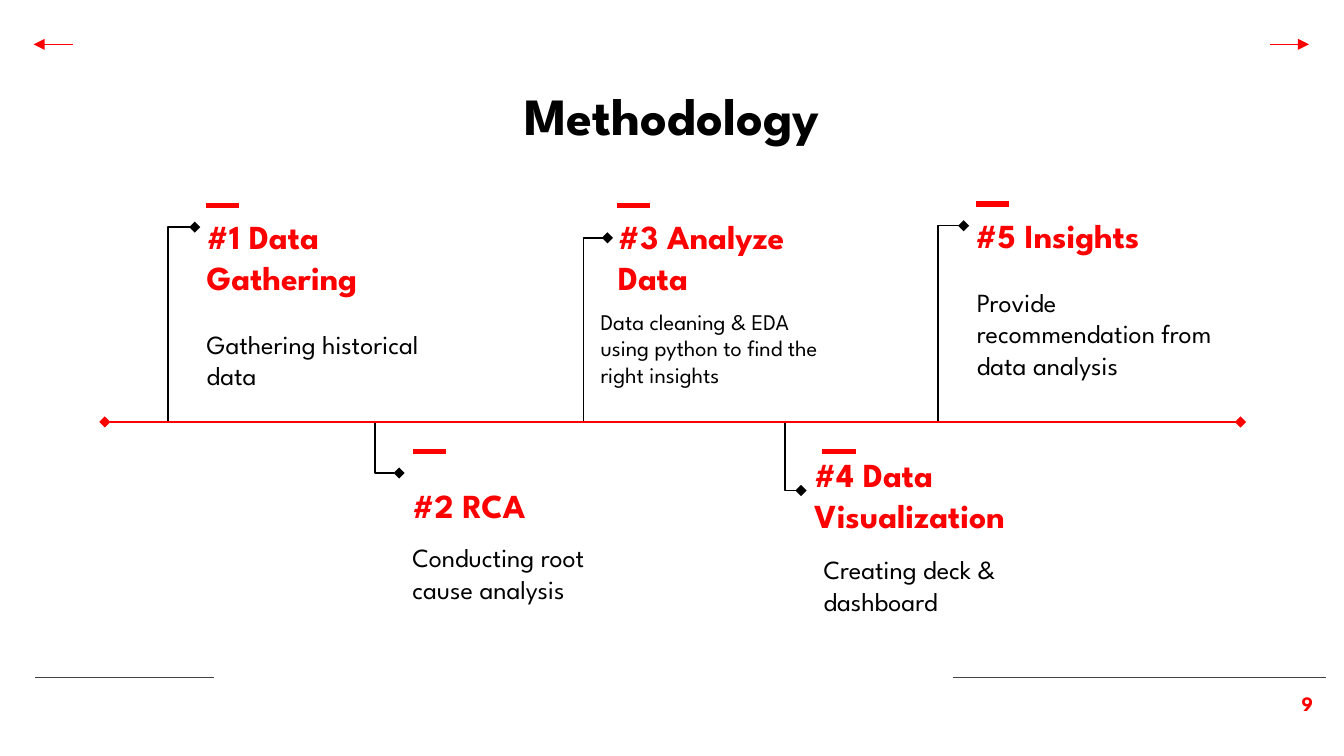
from dataclasses import dataclass

from lxml import etree
from pptx import Presentation
from pptx.dml.color import RGBColor
from pptx.enum.shapes import MSO_CONNECTOR
from pptx.enum.text import MSO_ANCHOR, MSO_AUTO_SIZE, PP_ALIGN
from pptx.oxml.ns import qn
from pptx.util import Inches, Pt

STRAIGHT, ELBOW = MSO_CONNECTOR.STRAIGHT, MSO_CONNECTOR.ELBOW
TOP = MSO_ANCHOR.TOP
NO_AUTOFIT = MSO_AUTO_SIZE.NONE
LEFT, CENTER, RIGHT = PP_ALIGN.LEFT, PP_ALIGN.CENTER, PP_ALIGN.RIGHT
TITLE_ONLY = 5


@dataclass(frozen=True)
class Theme:
    font: str = "League Spartan"
    accent: RGBColor = RGBColor(0xFD, 0x00, 0x00)
    ink: RGBColor = RGBColor(0x00, 0x00, 0x00)
    rule: RGBColor = RGBColor(0x43, 0x43, 0x43)
    title_size: int = 28
    heading_size: int = 18
    body_size: int = 14
    small_size: int = 12
    page_size: int = 11
    thin: float = 0.75
    medium: float = 1.5
    thick: float = 3


THEME = Theme()
TIMELINE_Y = 3.14
ACCENT_LENGTH = 0.25


@dataclass(frozen=True)
class Step:
    heading: str
    heading_box: tuple
    body: str
    body_box: tuple
    accent_at: tuple
    pointer_tip: tuple
    stem_x: float
    body_size: int = THEME.body_size


STEPS = (
    Step("#1 Data Gathering", (1.44, 1.51, 1.8, 0.74),
         "Gathering historical data", (1.44, 2.34, 1.8, 0.74),
         (1.53, 1.53), (1.45, 1.69), 1.25),
    Step("#2 RCA", (2.97, 3.51, 1.8, 0.27),
         "Conducting root cause analysis", (2.97, 3.93, 1.8, 0.74),
         (3.07, 3.36), (2.97, 3.52), 2.79),
    Step("#3 Analyze Data", (4.5, 1.51, 1.8, 0.63),
         "Data cleaning & EDA using python to find the right insights",
         (4.37, 2.19, 1.89, 1.03),
         (4.59, 1.53), (4.52, 1.77), 4.34, THEME.small_size),
    Step("#4 Data Visualization", (5.96, 3.28, 1.8, 0.74),
         "Creating deck & dashboard", (6.03, 4.02, 1.85, 0.74),
         (6.12, 3.36), (5.96, 3.65), 5.84),
    Step("#5 Insights", (7.16, 1.5, 1.8, 0.52),
         "Provide recommendation from data analysis", (7.17, 2.03, 2.06, 0.74),
         (7.26, 1.52), (7.17, 1.68), 6.98),
)


def write_text(shape, text, size, color, bold=False, align=LEFT):
    frame = shape.text_frame
    frame.word_wrap = True
    frame.auto_size = NO_AUTOFIT
    frame.vertical_anchor = TOP
    frame.margin_left = frame.margin_right = Inches(0.1)
    frame.margin_top = frame.margin_bottom = Inches(0.1)
    paragraph = frame.paragraphs[0]
    paragraph.alignment = align
    run = paragraph.add_run()
    run.text = text
    run.font.name = THEME.font
    run.font.size = Pt(size)
    run.font.bold = bold
    run.font.color.rgb = color


def add_text(slide, box, *args, **kwargs):
    textbox = slide.shapes.add_textbox(*(Inches(v) for v in box))
    write_text(textbox, *args, **kwargs)


def add_title(slide, text):
    title = slide.shapes.title
    title.left, title.top = Inches(1.61), Inches(0.52)
    title.width, title.height = Inches(6.78), Inches(0.63)
    write_text(title, text, THEME.title_size, THEME.ink, bold=True, align=CENTER)


def add_line(slide, start, end, color, width=THEME.thin, head=None, tail=None,
             kind=STRAIGHT):
    """Head is the arrowhead at the start, tail the one at the end."""
    line = slide.shapes.add_connector(kind, *(Inches(v) for v in (*start, *end)))
    line.line.color.rgb = color
    line.line.width = Pt(width)
    properties = line._element.spPr
    outline = properties.find(qn("a:ln"))
    for tag, arrow in (("a:headEnd", head), ("a:tailEnd", tail)):
        if arrow:
            etree.SubElement(outline, qn(tag), type=arrow, w="med", len="med")
    etree.SubElement(properties, qn("a:effectLst"))
    return line


def add_pointer(slide, tip, stem_x):
    """Run sideways from the tip, then turn once to meet the timeline."""
    pointer = add_line(slide, tip, (stem_x, TIMELINE_Y), THEME.ink,
                       head="diamond", kind=ELBOW)
    geometry = pointer._element.spPr.find(qn("a:prstGeom"))
    geometry.set("prst", "bentConnector2")


def add_step(slide, step):
    add_text(slide, step.heading_box, step.heading, THEME.heading_size,
             THEME.accent, bold=True)
    add_text(slide, step.body_box, step.body, step.body_size, THEME.ink)
    add_pointer(slide, step.pointer_tip, step.stem_x)
    x, y = step.accent_at
    add_line(slide, (x + ACCENT_LENGTH, y), (x, y), THEME.accent, THEME.thick)


def add_footer(slide, page):
    for start, end in ((1.59, 0.26), (7.09, 9.87)):
        add_line(slide, (start, 5.04), (end, 5.04), THEME.rule)
    add_text(slide, (9.23, 5.04, 0.64, 0.43), page, THEME.page_size,
             THEME.accent, bold=True, align=RIGHT)


def add_navigation_arrows(slide):
    for start, end in ((0.54, 0.25), (9.45, 9.74)):
        add_line(slide, (start, 0.33), (end, 0.33), THEME.accent, tail="triangle")


def main():
    deck = Presentation()
    deck.slide_width = Inches(10)
    deck.slide_height = deck.slide_width * 9 // 16
    slide = deck.slides.add_slide(deck.slide_layouts[TITLE_ONLY])
    add_footer(slide, "9")
    add_title(slide, "Methodology")
    for step in STEPS:
        add_step(slide, step)
    add_line(slide, (0.78, TIMELINE_Y), (9.23, TIMELINE_Y), THEME.accent,
             THEME.medium, head="diamond", tail="diamond")
    add_navigation_arrows(slide)
    deck.save("out.pptx")


if __name__ == "__main__":
    main()
